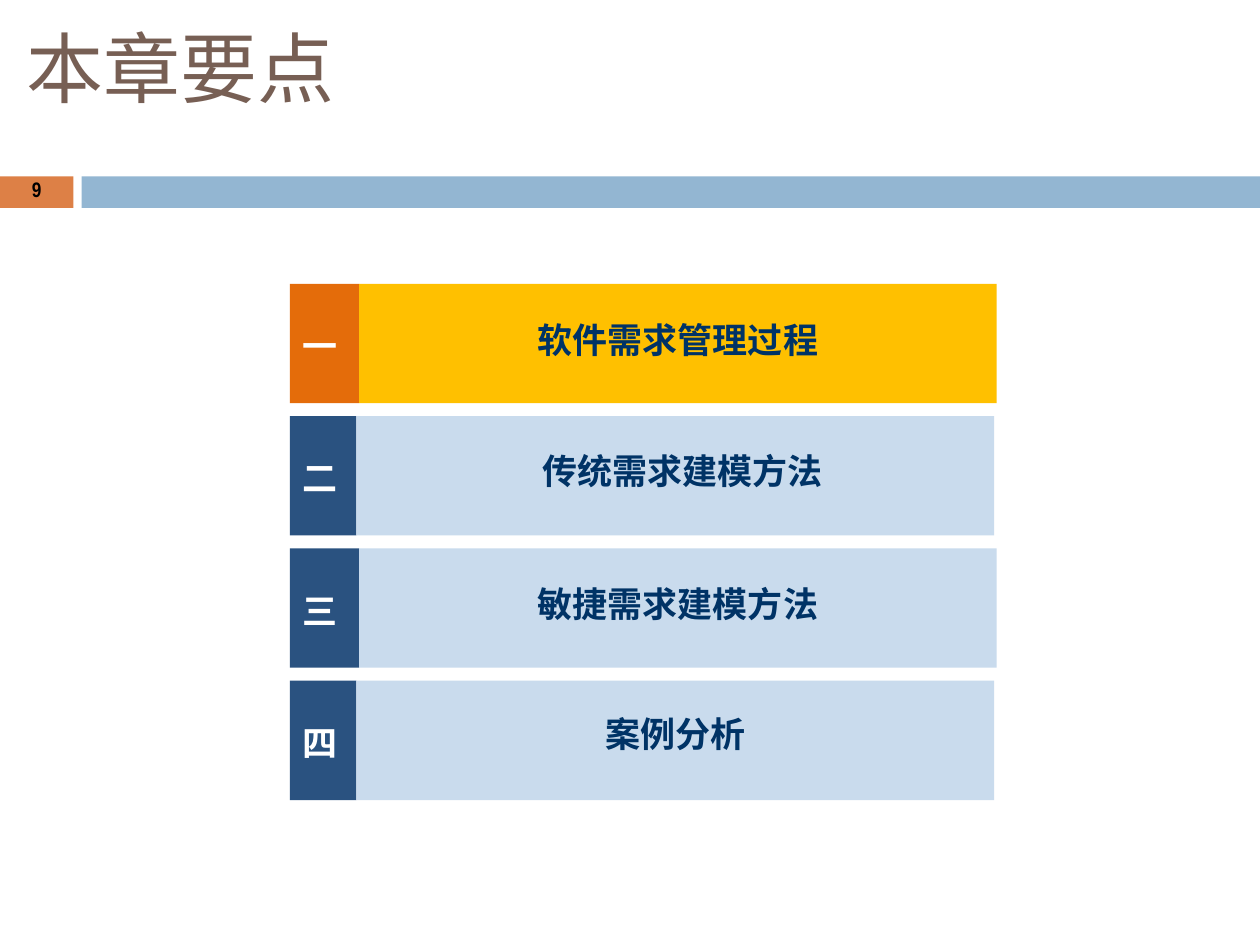
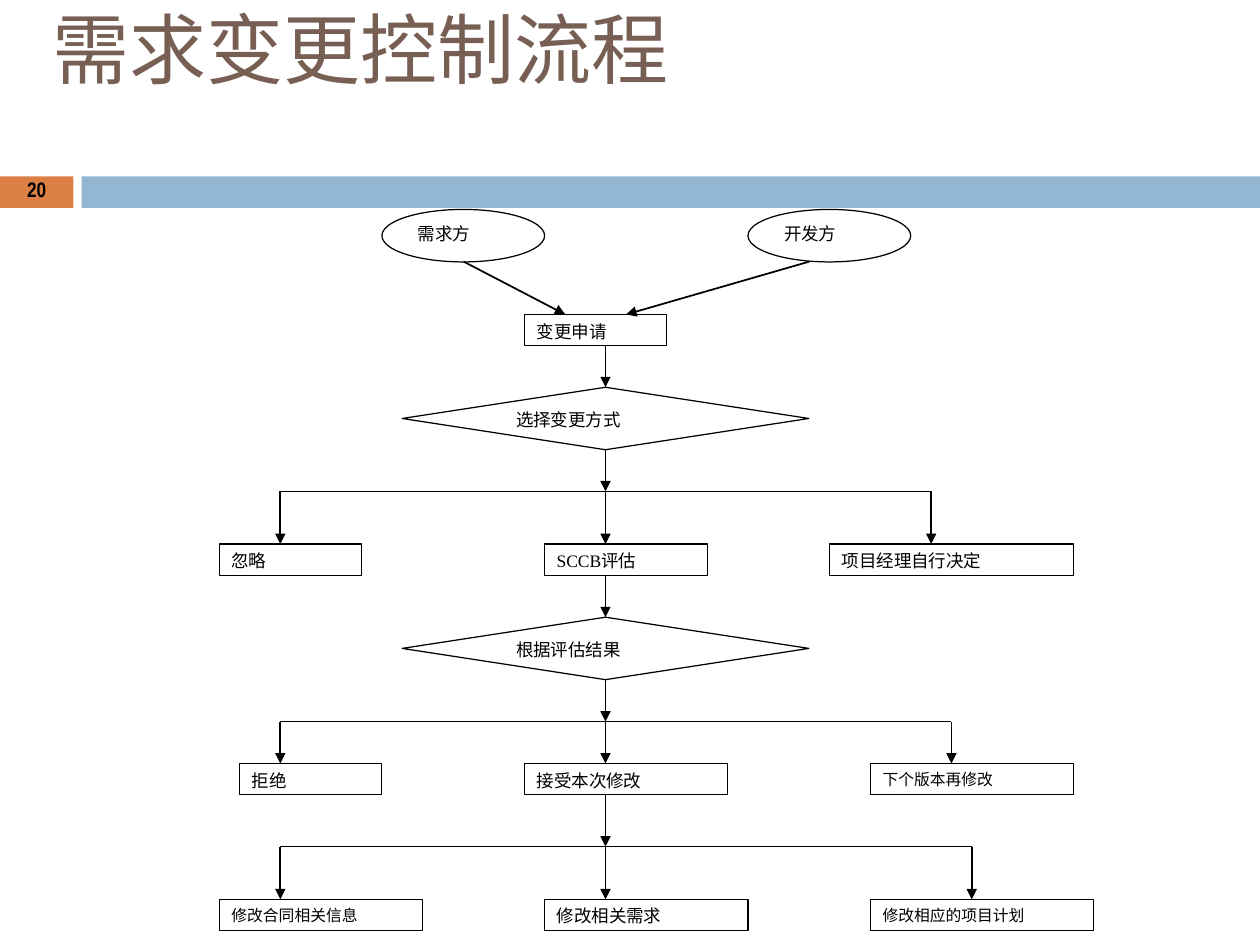
from lxml import etree
from pptx import Presentation
from pptx.dml.color import RGBColor
from pptx.enum.shapes import MSO_CONNECTOR as LINE, MSO_SHAPE as SHAPE
from pptx.enum.text import MSO_ANCHOR as ANCHOR, MSO_AUTO_SIZE as AUTO, PP_ALIGN as ALIGN
from pptx.oxml.ns import qn
from pptx.util import Pt

CJK, LATIN, NUMBER = "Noto Sans CJK SC", "Times New Roman", "Arial Narrow"
BLACK, WHITE, BROWN, NAVY = "000000", "FFFFFF", "775F54", "003366"
ORANGE, SKY = "DD8046", "93B6D2"
RUST, AMBER, BLUE, PALE = "E46C0A", "FFC000", "2A5280", "C9DBED"


def rgb(color):
    return RGBColor.from_string(color)


class Deck:
    """Holds the shared style and the current slide."""

    def __init__(self):
        self.prs = Presentation()
        self.prs.slide_width, self.prs.slide_height = Pt(720), Pt(540)
        self.s = None

    def slide(self, title, x, y, number):
        self.s = self.prs.slides.add_slide(self.prs.slide_layouts[6])
        # Page number and band
        sp = self.shape(SHAPE.RECTANGLE, 0, 100.8, 42, 18, fill=ORANGE)
        self.text(sp, [(number, NUMBER)], 12, bold=True, align=ALIGN.CENTER)
        self.shape(SHAPE.RECTANGLE, 46.6, 100.8, 673.4, 18, fill=SKY)
        # Title
        box = self.s.shapes.add_textbox(Pt(x), Pt(y), Pt(600), Pt(55))
        self.text(box, [(title, CJK)], 44, BROWN)

    def shape(self, kind, x, y, w, h, fill=None, line=None):
        sp = self.s.shapes.add_shape(kind, Pt(x), Pt(y), Pt(w), Pt(h))
        sp.shadow.inherit = False
        if fill:
            sp.fill.solid()
            sp.fill.fore_color.rgb = rgb(fill)
        else:
            sp.fill.background()
        if line:
            sp.line.color.rgb = rgb(line)
            sp.line.width = Pt(0.72)
        else:
            sp.line.fill.background()
        return sp

    def text(self, sp, runs, size, color=BLACK, bold=False, align=ALIGN.LEFT, left=0, top=0):
        tf = sp.text_frame
        tf.word_wrap, tf.auto_size, tf.vertical_anchor = True, AUTO.NONE, ANCHOR.TOP
        tf.margin_left, tf.margin_top = Pt(left), Pt(top)
        tf.margin_right = tf.margin_bottom = 0
        p = tf.paragraphs[0]
        p.alignment = align
        for words, face in runs:
            r = p.add_run()
            r.text = words
            r.font.size, r.font.bold, r.font.name = Pt(size), bold, face
            r.font.color.rgb = rgb(color)
            etree.SubElement(r.font._element, qn("a:ea")).set("typeface", face)

    def node(self, kind, x, y, w, h, *runs, size=10):
        sp = self.shape(kind, x, y, w, h, line=BLACK)
        self.text(sp, runs, size, left=7, top=3.5)

    def line(self, x1, y1, x2, y2, arrow=True):
        c = self.s.shapes.add_connector(LINE.STRAIGHT, Pt(x1), Pt(y1), Pt(x2), Pt(y2))
        c.line.color.rgb = rgb(BLACK)
        c.line.width = Pt(1 if arrow else 0.72)
        if arrow:
            etree.SubElement(c.line._get_or_add_ln(), qn("a:tailEnd")).set("type", "triangle")
        etree.SubElement(c._element.spPr, qn("a:effectLst"))


def build_agenda(deck):
    deck.slide("本章要点", 15.1, 11.5, "9")
    chapters = [
        ("一", "软件需求管理过程", 20),
        ("二", "传统需求建模方法", 19.2),
        ("三", "敏捷需求建模方法", 19.2),
        ("四", "案例分析", 18),
    ]
    x, height, pitch = 165.6, 68.2, 75.6
    for i, (numeral, chapter, top) in enumerate(chapters):
        y = 162.2 + i * pitch
        width = 38.1 if i % 2 else 39.6
        indent = 8 if i == 1 else 0
        tab_fill, bar_fill = (BLUE, PALE) if i else (RUST, AMBER)
        tab = deck.shape(SHAPE.RECTANGLE, x, y, width, height, fill=tab_fill)
        deck.text(tab, [(numeral, CJK)], 20, WHITE, True, left=7, top=23.3)
        bar = deck.shape(SHAPE.RECTANGLE, x + width, y, 364.4, height, fill=bar_fill)
        deck.text(bar, [(chapter, CJK)], 20, NAVY, True, ALIGN.CENTER, indent, top)


def build_change_flow(deck):
    deck.slide("需求变更控制流程", 30.2, 0.7, "20")
    axis, left_axis, box_h, diamond_h = 346, 160.2, 17.9, 35.7

    # Sources of a change request
    request_y = 179.7
    for x, party in [(218.2, "需求方"), (427.4, "开发方")]:
        deck.node(SHAPE.OVAL, x, 119.7, 93, 30, (party, CJK))
    deck.line(265, 149.5, 323, request_y)
    deck.line(462.4, 149.5, 357.8, request_y)
    deck.node(SHAPE.RECTANGLE, 299.7, request_y, 81.3, box_h, ("变更申请", CJK))

    # Decisions, each reached from the box above
    for y, above, decision in [(221.3, request_y, "选择变更方式"), (352.7, 310.9, "根据评估结果")]:
        deck.line(axis, above + box_h, axis, y)
        deck.node(SHAPE.DIAMOND, axis - 116.2, y, 232.4, diamond_h, (decision, CJK))

    # Branches: start, bus and row heights, right end, boxes (x, width, size, runs)
    branches = [
        (221.3 + diamond_h, 280.8, 310.9, 532.1, [
            (125.3, 81.3, 10, [("忽略", CJK)]),
            (311.1, 93, 10, [("SCCB", LATIN), ("评估", CJK)]),
            (474, 139.5, 10, [("项目经理自行决定", CJK)])]),
        (352.7 + diamond_h, 412.3, 436.3, 543.7, [
            (136.8, 81.3, 10, [("拒绝", CJK)]),
            (299.7, 116.1, 10, [("接受本次修改", CJK)]),
            (497.3, 116.3, 9, [("下个版本再修改", CJK)])]),
        (436.3 + box_h, 483.8, 513.9, 555.3, [
            (125.3, 116.1, 9, [("修改合同相关信息", CJK)]),
            (311.1, 116.3, 10, [("修改相关需求", CJK)]),
            (497.3, 127.6, 9, [("修改相应的项目计划", CJK)])]),
    ]
    for start, bus, row, right_axis, boxes in branches:
        deck.line(axis, start, axis, bus)
        deck.line(left_axis, bus, right_axis, bus, arrow=False)
        for x in (left_axis, axis, right_axis):
            deck.line(x, bus, x, row)
        for x, width, size, runs in boxes:
            deck.node(SHAPE.RECTANGLE, x, row, width, box_h, *runs, size=size)


def main():
    deck = Deck()
    build_agenda(deck)
    build_change_flow(deck)
    deck.prs.save("out.pptx")


if __name__ == "__main__":
    main()
